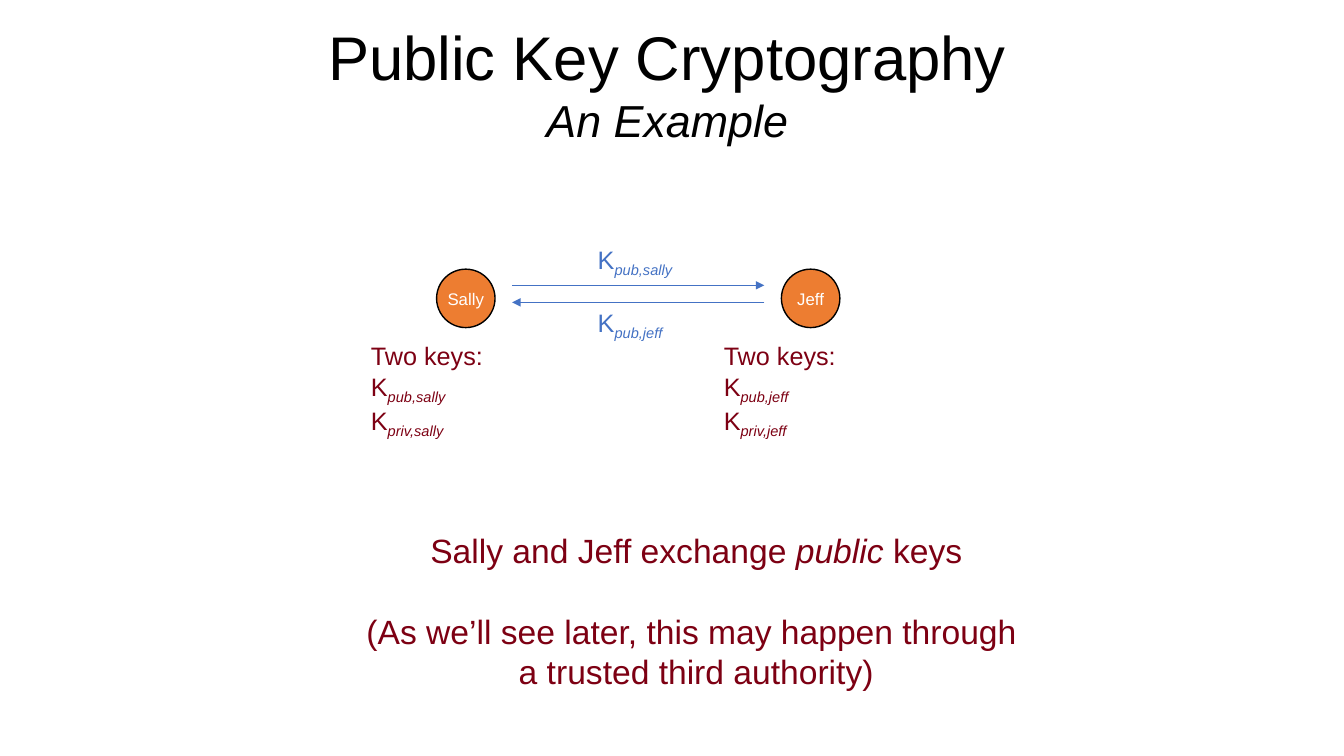
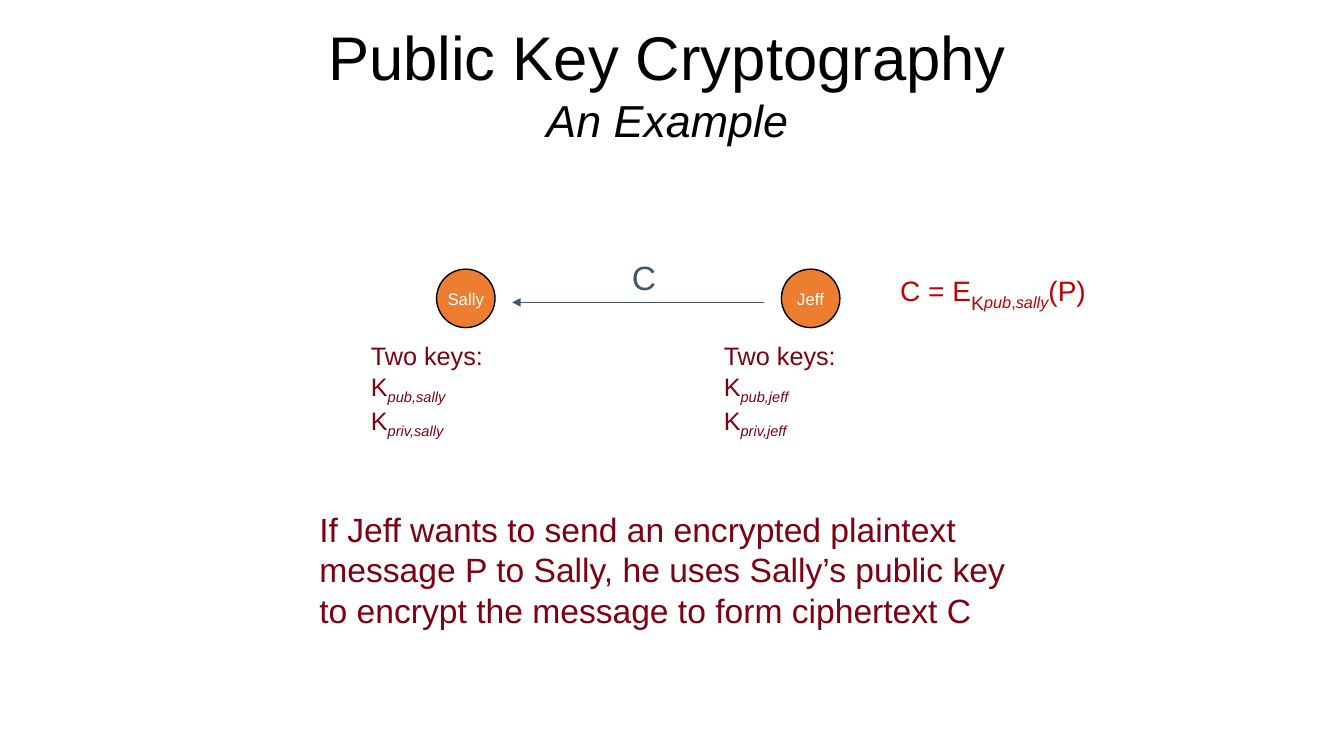
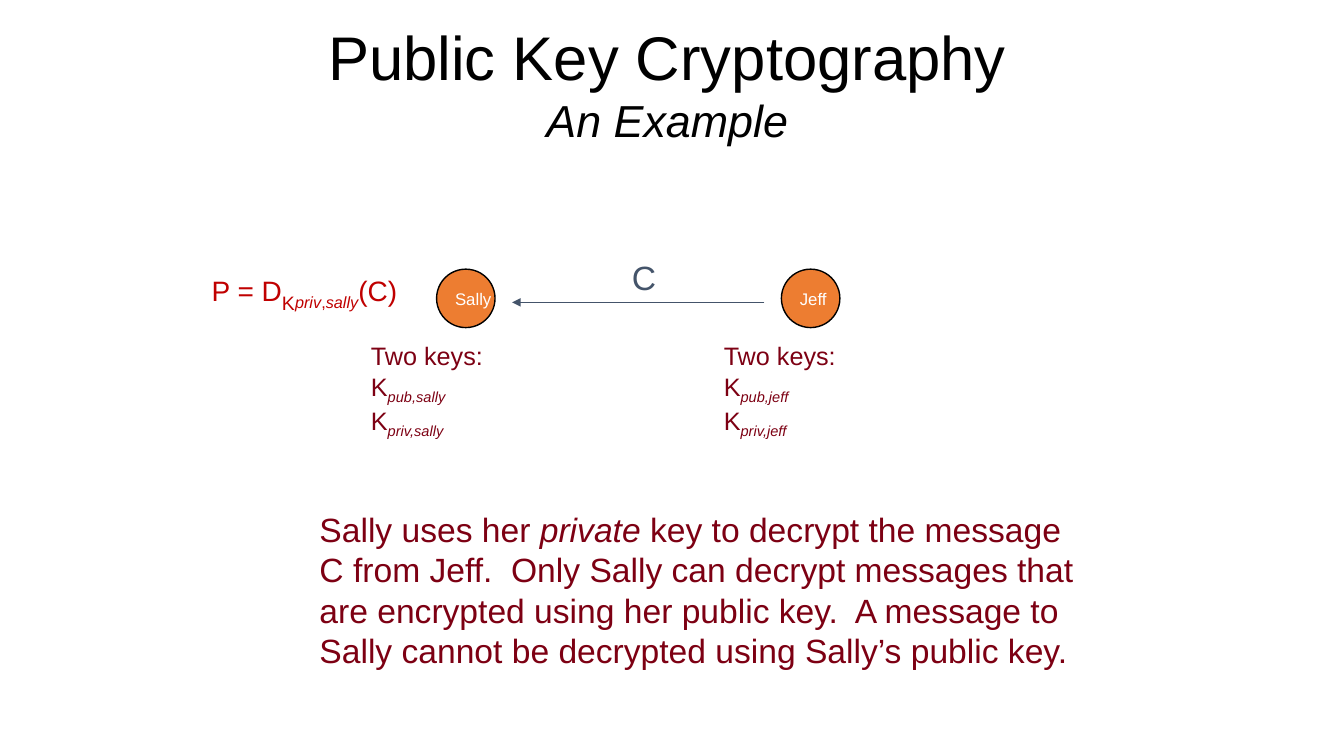
from dataclasses import dataclass

from lxml.etree import SubElement
from pptx import Presentation
from pptx.dml.color import RGBColor
from pptx.enum.shapes import MSO_CONNECTOR, MSO_SHAPE
from pptx.enum.text import MSO_ANCHOR, MSO_AUTO_SIZE, PP_ALIGN
from pptx.oxml.ns import qn
from pptx.presentation import Presentation as Deck
from pptx.slide import Slide
from pptx.text.text import TextFrame
from pptx.util import Inches, Pt


@dataclass(frozen=True)
class Theme:
    font: str = "Arial"
    ink: str = "000000"
    paper: str = "FFFFFF"
    body: str = "7D0013"
    person: str = "ED7D31"
    key: str = "4472C4"
    cipher: str = "44546A"
    formula: str = "C00000"
    title_size: int = 44
    subtitle_size: int = 32
    body_size: int = 24
    formula_size: int = 20
    key_size: int = 18
    person_size: int = 12


@dataclass(frozen=True)
class Piece:
    text: str
    italic: bool = False
    subscript: bool = False
    size: int | None = None


@dataclass(frozen=True)
class Person:
    name: str
    circle_left: float
    keys_left: float


Line = list[Piece]
Box = tuple[float, float, float, float]

THEME = Theme()
PEOPLE = (Person("Sally", 4.33, 3.58), Person("Jeff", 7.75, 7.08))
ARROW_LEFT, ARROW_RIGHT = 5.08, 7.58
UPPER_ARROW, LOWER_ARROW = 2.83, 3.0


def plain(*texts: str) -> list[Line]:
    """Turn each text into a line of one upright piece."""
    return [[Piece(text)] for text in texts]


def key_name(kind: str, owner: str) -> Line:
    """Name a key as K with an italic subscript."""
    return [Piece("K"), Piece(f"{kind},{owner.lower()}", italic=True, subscript=True)]


def formula(result: str, operation: str, kind: str, argument: str) -> Line:
    """Write an operation under one of Sally's keys."""
    return [
        Piece(f"{result} = {operation}"),
        Piece("K", subscript=True, size=THEME.body_size),
        Piece(kind, italic=True, subscript=True),
        Piece(",", subscript=True),
        Piece("sally", italic=True, subscript=True),
        Piece(f"({argument})"),
    ]


def fill_text(frame: TextFrame, lines: list[Line], size: int, color: str,
              align: PP_ALIGN = PP_ALIGN.LEFT) -> None:
    """Write lines of formatted pieces into a text frame."""
    for index, line in enumerate(lines):
        paragraph = frame.add_paragraph() if index else frame.paragraphs[0]
        paragraph.alignment = align
        for piece in line:
            run = paragraph.add_run()
            run.text = piece.text
            run.font.name = THEME.font
            run.font.size = Pt(piece.size or size)
            run.font.italic = piece.italic
            run.font.color.rgb = RGBColor.from_string(color)
            if piece.subscript:
                run._r.get_or_add_rPr().set("baseline", "-25000")


def add_text(slide: Slide, box: Box, lines: list[Line], size: int, color: str,
             align: PP_ALIGN = PP_ALIGN.LEFT, wrap: bool = False) -> TextFrame:
    """Add a text box that grows with its text."""
    frame = slide.shapes.add_textbox(*map(Inches, box)).text_frame
    frame.word_wrap = wrap
    frame.auto_size = MSO_AUTO_SIZE.SHAPE_TO_FIT_TEXT
    fill_text(frame, lines, size, color, align)
    return frame


def add_arrow(slide: Slide, start: float, end: float, top: float, color: str) -> None:
    """Add a horizontal arrow between the two people."""
    arrow = slide.shapes.add_connector(
        MSO_CONNECTOR.STRAIGHT, Inches(start), Inches(top), Inches(end), Inches(top))
    arrow.line.color.rgb = RGBColor.from_string(color)
    arrow.line.width = Pt(1)
    SubElement(arrow.line._get_or_add_ln(), qn("a:tailEnd"), type="triangle")
    SubElement(arrow._element.spPr, qn("a:effectLst"))


def add_title(slide: Slide) -> None:
    """Place and format the shared title."""
    title = slide.shapes.title
    title.left, title.top, title.width, title.height = map(Inches, (2.33, 0.25, 8.58, 1.25))
    frame = title.text_frame
    frame.text = "Public Key Cryptography\vAn Example"
    frame.auto_size = MSO_AUTO_SIZE.NONE
    frame.vertical_anchor = MSO_ANCHOR.BOTTOM
    paragraph = frame.paragraphs[0]
    paragraph.alignment = PP_ALIGN.CENTER
    for run, size in zip(paragraph.runs, (THEME.title_size, THEME.subtitle_size)):
        run.font.name = THEME.font
        run.font.size = Pt(size)
        run.font.italic = size == THEME.subtitle_size
        run.font.color.rgb = RGBColor.from_string(THEME.ink)


def add_person(slide: Slide, person: Person, align: PP_ALIGN) -> None:
    """Add a person's circle and list of keys."""
    circle = slide.shapes.add_shape(
        MSO_SHAPE.OVAL, *map(Inches, (person.circle_left, 2.67, 0.58, 0.58)))
    circle.shadow.inherit = False
    circle.fill.solid()
    circle.fill.fore_color.rgb = RGBColor.from_string(THEME.person)
    circle.line.color.rgb = RGBColor.from_string(THEME.ink)
    circle.line.width = Pt(1)
    frame = circle.text_frame
    frame.word_wrap = False
    frame.vertical_anchor = MSO_ANCHOR.MIDDLE
    fill_text(frame, plain(person.name), THEME.person_size, THEME.paper, align)
    keys = plain("Two keys:") + [key_name(kind, person.name) for kind in ("pub", "priv")]
    add_text(slide, (person.keys_left, 3.33, 1.98, 1), keys,
             THEME.key_size, THEME.body, wrap=True)


def add_example_slide(presentation: Deck, align: PP_ALIGN = PP_ALIGN.CENTER) -> Slide:
    """Add a slide with the title and both people."""
    slide = presentation.slides.add_slide(presentation.slide_layouts[5])
    add_title(slide)
    for person in PEOPLE:
        add_person(slide, person, align)
    return slide


def add_cipher_message(slide: Slide, formula_left: float, equation: Line,
                       body_box: Box, body: list[Line]) -> None:
    """Show ciphertext going to Sally, its formula and the explanation."""
    add_arrow(slide, ARROW_RIGHT, ARROW_LEFT, LOWER_ARROW, THEME.cipher)
    add_text(slide, (6.17, 2.5, 0.44, 0.5), plain("C"), THEME.body_size, THEME.cipher)
    add_text(slide, (formula_left, 2.61, 2.17, 0.44), [equation],
             THEME.formula_size, THEME.formula)
    add_text(slide, body_box, body, THEME.body_size, THEME.body)


def build_exchange(presentation: Deck) -> None:
    """Build the slide on exchanging public keys."""
    slide = add_example_slide(presentation)
    add_arrow(slide, ARROW_LEFT, ARROW_RIGHT, UPPER_ARROW, THEME.key)
    add_arrow(slide, ARROW_RIGHT, ARROW_LEFT, LOWER_ARROW, THEME.key)
    for person, top, width in zip(PEOPLE, (2.37, 3), (1.02, 0.91)):
        add_text(slide, (5.83, top, width, 0.4), [key_name("pub", person.name)],
                 THEME.key_size, THEME.key)
    body = [
        [Piece("Sally and Jeff exchange "), Piece("public", italic=True), Piece(" keys")],
        *plain("(As we’ll see later, this may happen through ", "a trusted third authority)"),
    ]
    frame = add_text(slide, (3.5, 5.21, 6.81, 1.72), body,
                     THEME.body_size, THEME.body, PP_ALIGN.CENTER)
    frame.paragraphs[1].space_before = Pt(29)


def build_encryption(presentation: Deck) -> None:
    """Build the slide on encrypting with the public key."""
    add_cipher_message(
        add_example_slide(presentation), 8.83, formula("C", "E", "pub", "P"),
        (3.07, 5, 7.16, 1.31),
        plain("If Jeff wants to send an encrypted plaintext",
              "message P to Sally, he uses Sally’s public key",
              "to encrypt the message to form ciphertext C"))


def build_decryption(presentation: Deck) -> None:
    """Build the slide on decrypting with the private key."""
    body = [
        [Piece("Sally uses her "), Piece("private", italic=True),
         Piece(" key to decrypt the message")],
        *plain("C from Jeff.  Only Sally can decrypt messages that",
               "are encrypted using her public key.  A message to",
               "Sally cannot be decrypted using Sally’s public key."),
    ]
    add_cipher_message(
        add_example_slide(presentation, PP_ALIGN.LEFT), 2, formula("P", "D", "priv", "C"),
        (3.07, 5, 7.75, 1.72), body)


def main() -> None:
    """Build and save the presentation."""
    presentation = Presentation()
    presentation.slide_width, presentation.slide_height = Inches(13.33), Inches(7.5)
    build_exchange(presentation)
    build_encryption(presentation)
    build_decryption(presentation)
    presentation.save("out.pptx")


if __name__ == "__main__":
    main()
